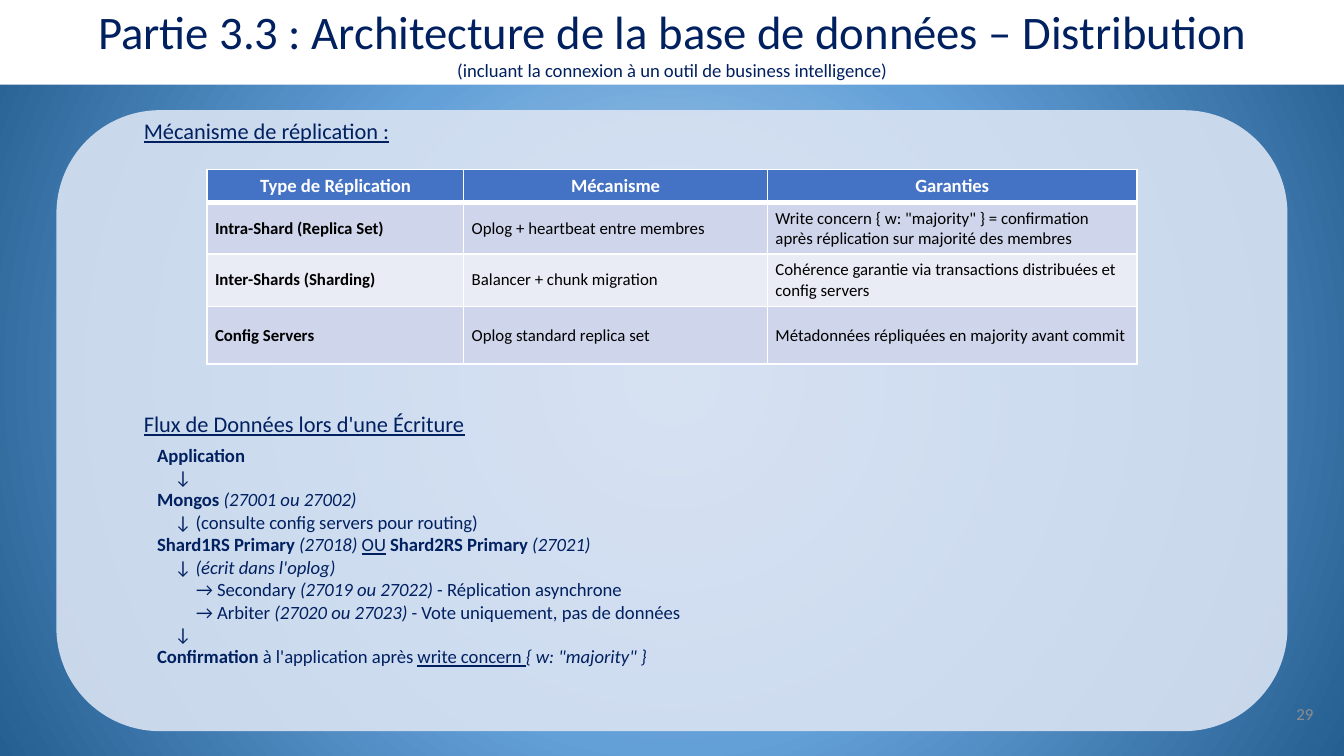
from lxml.etree import SubElement
from pptx import Presentation
from pptx.dml.color import RGBColor
from pptx.enum.shapes import MSO_SHAPE
from pptx.enum.text import MSO_ANCHOR, MSO_AUTO_SIZE, PP_ALIGN
from pptx.oxml.ns import qn
from pptx.util import Inches, Pt

COLORS = {
    "navy": "002060", "white": "FFFFFF", "black": "000000", "gray": "8C8C8C",
    "panel": "DAE3F3", "header": "4472C4", "odd_row": "CFD5EA", "even_row": "E9EBF5",
    "glow": "BDD7EE", "sky": "63A0D7", "deep": "255E91",
}
FONT = "Calibri"
SLIDE_WIDTH = 10
SLIDE_HEIGHT = SLIDE_WIDTH * 9 / 16

COLUMN_WIDTHS = [1.91, 2.26, 2.75]
ROW_HEIGHTS = [0.25, 0.38, 0.39, 0.43]
REPLICATION_ROWS = [
    ["Type de Réplication", "Mécanisme", "Garanties"],
    ["Intra-Shard (Replica Set)", "Oplog + heartbeat entre membres",
     'Write concern { w: "majority" } = confirmation après réplication sur majorité des membres'],
    ["Inter-Shards (Sharding)", "Balancer + chunk migration",
     "Cohérence garantie via transactions distribuées et config servers"],
    ["Config Servers", "Oplog standard replica set",
     "Métadonnées répliquées en majority avant commit"],
]

# Each step: indent level, then (text, style letters) pieces; b bold, i italic, u underlined
INDENTS = [0, 0.13, 0.29]
WRITE_STEPS = [
    (0, [("Application", "b")]),
    (1, [("↓", "")]),
    (0, [("Mongos ", "b"), ("(27001 ou 27002)", "i")]),
    (1, [("↓ (consulte config servers pour routing)", "")]),
    (0, [("Shard1RS Primary ", "b"), ("(27018) ", "i"), ("OU", "u"), (" ", ""),
         ("Shard2RS Primary ", "b"), ("(27021)", "i")]),
    (1, [("↓ ", ""), ("(écrit dans l'oplog)", "i")]),
    (2, [("→ Secondary ", ""), ("(27019 ou 27022) ", "i"), ("- Réplication asynchrone", "")]),
    (2, [("→ Arbiter ", ""), ("(27020 ou 27023) ", "i"),
         ("- Vote uniquement, pas de données", "")]),
    (1, [("↓", "")]),
    (0, [("Confirmation", "b"), (" à l'application après ", ""), ("write concern ", "u"),
         ('{ w: "majority" }', "i")]),
]


def rgb(name):
    return RGBColor.from_string(COLORS[name])


def format_run(run, size, color="navy", style=""):
    font = run.font
    font.name, font.size = FONT, Pt(size)
    font.color.rgb = rgb(color)
    font.bold, font.italic, font.underline = (letter in style for letter in "biu")


def set_margins(text_frame, margin):
    text_frame.margin_left = text_frame.margin_right = Inches(margin)
    text_frame.margin_top = text_frame.margin_bottom = Inches(margin)


def add_text_box(slide, left, top, width, height, margin):
    box = slide.shapes.add_textbox(Inches(left), Inches(top), Inches(width), Inches(height))
    box.text_frame.word_wrap = True
    set_margins(box.text_frame, margin)
    return box.text_frame


def set_background(slide):
    """Fill the slide with a gradient that spreads in circles from its centre."""
    slide.background.fill.gradient()
    gradient = slide._element.find(".//" + qn("a:gradFill"))
    for child in list(gradient):
        gradient.remove(child)
    stops = SubElement(gradient, qn("a:gsLst"))
    for percent, name in [(0, "glow"), (48, "sky"), (100, "deep")]:
        stop = SubElement(stops, qn("a:gs"), pos=str(percent * 1000))
        SubElement(stop, qn("a:srgbClr"), val=COLORS[name])
    circle = SubElement(gradient, qn("a:path"), path="circle")
    SubElement(circle, qn("a:fillToRect"), l="50000", t="50000", r="50000", b="50000")


def fill_title(slide, left, top, width, height):
    title = slide.shapes.title
    title.left, title.top = Inches(left), Inches(top)
    title.width, title.height = Inches(width), Inches(height)
    title.fill.solid()
    title.fill.fore_color.rgb = rgb("white")
    text_frame = title.text_frame
    text_frame.auto_size = MSO_AUTO_SIZE.NONE
    text_frame.word_wrap = False
    text_frame.vertical_anchor = MSO_ANCHOR.MIDDLE
    set_margins(text_frame, 0.04)
    text_frame.text = ("Partie 3.3 : Architecture de la base de données – Distribution\v"
                       "(incluant la connexion à un outil de business intelligence)")
    paragraph = text_frame.paragraphs[0]
    paragraph.alignment = PP_ALIGN.CENTER
    for run, size in zip(paragraph.runs, [25, 10]):
        format_run(run, size)
    line_break = paragraph._p.find(qn("a:br"))
    SubElement(line_break, qn("a:rPr"), sz="2500")


def add_panel(slide, left, top, width, height):
    panel = slide.shapes.add_shape(MSO_SHAPE.ROUNDED_RECTANGLE, Inches(left), Inches(top),
                                   Inches(width), Inches(height))
    panel.shadow.inherit = False
    panel.line.fill.background()
    panel.fill.solid()
    panel.fill.fore_color.rgb = rgb("panel")
    color = panel._element.spPr.find(".//" + qn("a:srgbClr"))
    SubElement(color, qn("a:alpha"), val="90000")


def add_heading(slide, left, top, width, text):
    text_frame = add_text_box(slide, left, top, width, 0.2, 0)
    text_frame.auto_size = MSO_AUTO_SIZE.SHAPE_TO_FIT_TEXT
    text_frame.text = text
    format_run(text_frame.paragraphs[0].runs[0], 12, style="u")


def set_borders(cell, is_header, below_header):
    """Draw white cell borders, with a thick rule under the header row."""
    properties = cell._tc.get_or_add_tcPr()
    widths = {"L": 1, "R": 1, "T": 3 if below_header else 1, "B": 3 if is_header else 1}
    for side, points in widths.items():
        line = SubElement(properties, qn("a:ln" + side), w=str(Pt(points)))
        fill = SubElement(line, qn("a:solidFill"))
        SubElement(fill, qn("a:srgbClr"), val=COLORS["white"])


def fill_cell(cell, text, row, column):
    is_header = row == 0
    set_borders(cell, is_header, row == 1)
    cell.fill.solid()
    cell.fill.fore_color.rgb = rgb("header" if is_header else "odd_row" if row % 2 else "even_row")
    cell.margin_left = cell.margin_right = Inches(0.06)
    cell.margin_top = cell.margin_bottom = Inches(0.04)
    cell.vertical_anchor = MSO_ANCHOR.MIDDLE
    cell.text_frame.text = text
    paragraph = cell.text_frame.paragraphs[0]
    paragraph.alignment = PP_ALIGN.CENTER if is_header else PP_ALIGN.LEFT
    format_run(paragraph.runs[0], 10 if is_header else 9, "white" if is_header else "black",
               "b" if is_header or column == 0 else "")


def add_replication_table(slide, left, top):
    table = slide.shapes.add_table(
        len(ROW_HEIGHTS), len(COLUMN_WIDTHS), Inches(left), Inches(top),
        Inches(sum(COLUMN_WIDTHS)), Inches(sum(ROW_HEIGHTS))).table
    for column, width in zip(table.columns, COLUMN_WIDTHS):
        column.width = Inches(width)
    for row, height in zip(table.rows, ROW_HEIGHTS):
        row.height = Inches(height)
    for row, texts in enumerate(REPLICATION_ROWS):
        for column, text in enumerate(texts):
            fill_cell(table.cell(row, column), text, row, column)


def add_write_flow(slide, left, top, width, height):
    text_frame = add_text_box(slide, left, top, width, height, 0.1)
    text_frame.margin_top = text_frame.margin_bottom = Inches(0.05)
    text_frame.auto_size = MSO_AUTO_SIZE.SHAPE_TO_FIT_TEXT
    for index, (level, pieces) in enumerate(WRITE_STEPS):
        paragraph = text_frame.add_paragraph() if index else text_frame.paragraphs[0]
        paragraph._p.get_or_add_pPr().set("marL", str(Inches(INDENTS[level])))
        for text, style in pieces:
            run = paragraph.add_run()
            run.text = text
            format_run(run, 10, style=style)


def add_page_number(slide, left, top, width, height):
    text_frame = add_text_box(slide, left, top, width, height, 0.1)
    text_frame.vertical_anchor = MSO_ANCHOR.MIDDLE
    text_frame.text = "29"
    paragraph = text_frame.paragraphs[0]
    paragraph.alignment = PP_ALIGN.RIGHT
    format_run(paragraph.runs[0], 9, "gray")


def main():
    presentation = Presentation()
    presentation.slide_width = Inches(SLIDE_WIDTH)
    presentation.slide_height = Inches(SLIDE_HEIGHT)
    slide = presentation.slides.add_slide(presentation.slide_layouts[5])
    set_background(slide)
    fill_title(slide, 0, 0, SLIDE_WIDTH, 0.63)
    add_panel(slide, 0.42, 0.82, 9.16, 4.62)
    add_page_number(slide, 9.27, 5.1, 0.6, 0.43)
    add_heading(slide, 1.07, 0.87, 7.85, "Mécanisme de réplication :")
    add_replication_table(slide, 1.54, 1.26)
    add_heading(slide, 1.07, 3.05, 7.85, "Flux de Données lors d'une Écriture")
    add_write_flow(slide, 1.07, 3.25, 8.08, 1.78)
    presentation.save("out.pptx")


if __name__ == "__main__":
    main()
